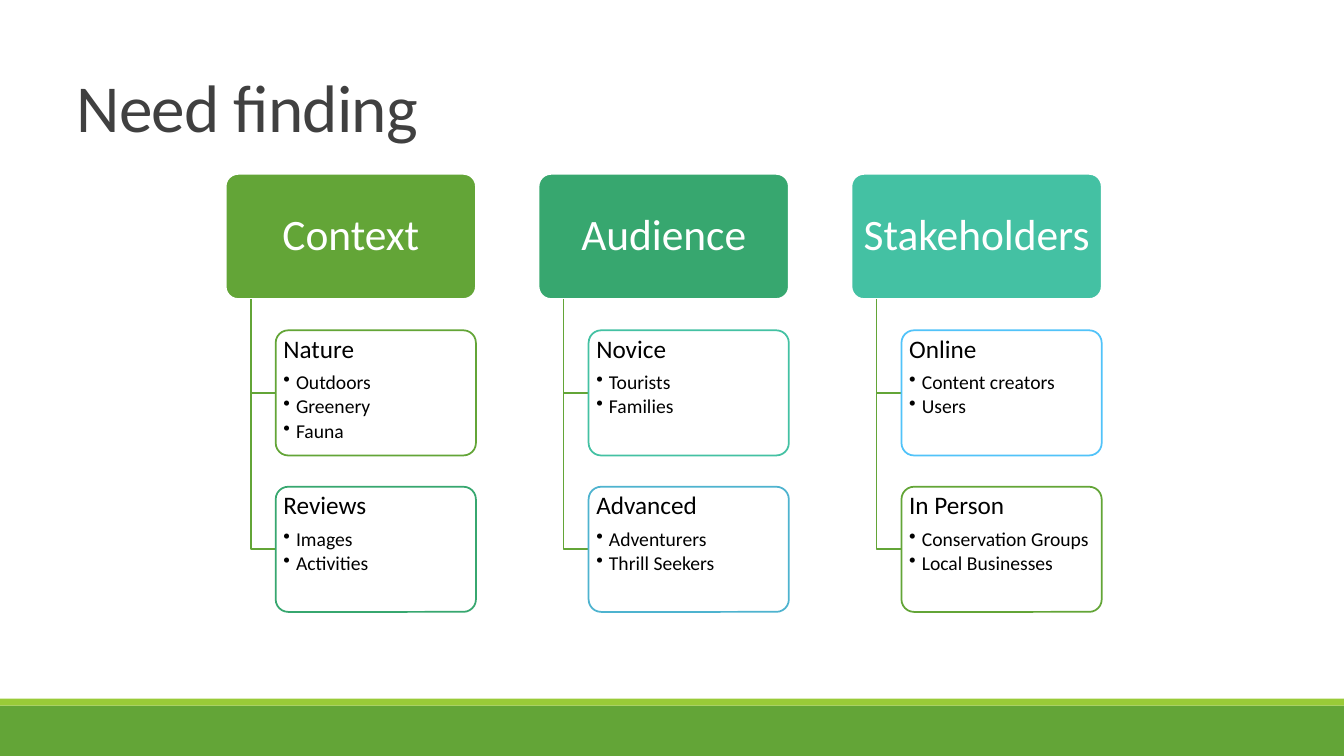
from lxml.etree import SubElement
from pptx import Presentation
from pptx.dml.color import RGBColor
from pptx.enum.shapes import MSO_SHAPE as Preset
from pptx.enum.text import MSO_ANCHOR as Anchor, PP_ALIGN as Align
from pptx.oxml.ns import qn
from pptx.util import Pt

GREEN = RGBColor(0x63, 0xA5, 0x37)
LIME = RGBColor(0x99, 0xCB, 0x38)
EMERALD = RGBColor(0x37, 0xA7, 0x6F)
TEAL = RGBColor(0x44, 0xC1, 0xA3)
STEEL = RGBColor(0x4E, 0xB3, 0xCF)
SKY = RGBColor(0x51, 0xC3, 0xF9)
WHITE = RGBColor(0xFF, 0xFF, 0xFF)
BLACK = RGBColor(0, 0, 0)
CHARCOAL = RGBColor(0x40, 0x40, 0x40)
FONT = "Calibri"
SLIDE_WIDTH, SLIDE_HEIGHT = 960, 540

BRANCHES = [
    ("Context", GREEN, [
        ("Nature", GREEN, ["Outdoors", "Greenery", "Fauna"]),
        ("Reviews", EMERALD, ["Images", "Activities"])]),
    ("Audience", EMERALD, [
        ("Novice", TEAL, ["Tourists", "Families"]),
        ("Advanced", STEEL, ["Adventurers", "Thrill Seekers"])]),
    ("Stakeholders", TEAL, [
        ("Online", SKY, ["Content creators", "Users"]),
        ("In Person", GREEN, ["Conservation Groups", "Local Businesses"])]),
]


def write(paragraph, wording, size, color, line_spacing=0.9, space_after=0):
    """Fill a paragraph and format its run."""
    paragraph.text = wording
    paragraph.line_spacing = line_spacing
    paragraph.space_after = Pt(space_after)
    font = paragraph.runs[0].font
    font.name, font.size, font.color.rgb = FONT, Pt(size), color


def add_bullet(paragraph):
    """Give a paragraph a hanging round bullet."""
    properties = paragraph._p.get_or_add_pPr()
    properties.set("marL", str(Pt(9)))
    properties.set("indent", str(Pt(-9)))
    SubElement(properties, qn("a:buChar"), char="•")


def set_margins(frame, side, end):
    """Wrap the text and set its side and end margins."""
    frame.word_wrap = True
    frame.margin_left = frame.margin_right = Pt(side)
    frame.margin_top = frame.margin_bottom = Pt(end)


def add_card(slide, left, top, width, height, fill, outline):
    """Draw a rounded card."""
    card = slide.shapes.add_shape(
        Preset.ROUNDED_RECTANGLE, Pt(left), Pt(top), Pt(width), Pt(height))
    card.adjustments[0] = 0.1
    card.shadow.inherit = False
    card.fill.solid()
    card.fill.fore_color.rgb = fill
    card.line.color.rgb = outline
    card.line.width = Pt(1.25)
    return card


def add_heading(slide, left, top, width, height, heading, color):
    """Draw the filled card at the head of a branch."""
    card = add_card(slide, left, top, width, height, color, WHITE)
    frame = card.text_frame
    set_margins(frame, 4.3, 2.9)
    frame.vertical_anchor = Anchor.MIDDLE
    write(frame.paragraphs[0], heading, 31, WHITE)
    frame.paragraphs[0].alignment = Align.CENTER


def add_leaf(slide, left, top, width, height, topic, color, examples):
    """Draw an outlined card with a topic and its bulleted examples."""
    card = add_card(slide, left, top, width, height, WHITE, color)
    tint = card.fill._xPr.find(qn("a:solidFill"))[0]
    SubElement(tint, qn("a:alpha"), val="90000")
    frame = card.text_frame
    set_margins(frame, 2.9, 2)
    frame.vertical_anchor = Anchor.TOP
    write(frame.paragraphs[0], topic, 18, BLACK, space_after=6.3)
    for example in examples:
        paragraph = frame.add_paragraph()
        write(paragraph, example, 14, BLACK, space_after=2.1)
        add_bullet(paragraph)
    for paragraph in frame.paragraphs:
        paragraph.alignment = Align.LEFT


def add_elbow(slide, left, top, width, height):
    """Draw the line that runs down and then right to a leaf."""
    builder = slide.shapes.build_freeform(Pt(left), Pt(top))
    builder.add_line_segments(
        [(Pt(left), Pt(top + height)), (Pt(left + width), Pt(top + height))],
        close=False)
    elbow = builder.convert_to_shape()
    elbow.shadow.inherit = False
    elbow.fill.background()
    elbow.line.color.rgb = GREEN
    elbow.line.width = Pt(1.25)


def add_branch(slide, left, top, width, heading, color, leaves):
    """Draw a heading with its leaves hanging below it."""
    height = width / 2
    pitch = height * 1.25
    trunk, indent = width * 0.1, width * 0.2
    add_heading(slide, left, top, width, height, heading, color)
    for row, (topic, outline, examples) in enumerate(leaves, start=1):
        drop = row * pitch
        add_elbow(slide, left + trunk, top + height,
                  indent - trunk, drop - height / 2)
        add_leaf(slide, left + indent, top + drop, width - indent, height,
                 topic, outline, examples)


def add_hierarchy(slide, left, top, width):
    """Spread the branches evenly, with gaps a quarter of a branch wide."""
    branch_width = width / (len(BRANCHES) * 1.25 - 0.25)
    for column, branch in enumerate(BRANCHES):
        add_branch(slide, left + column * branch_width * 1.25, top,
                   branch_width, *branch)


def add_title(slide, left, top, width, height):
    """Place the slide title."""
    title = slide.shapes.add_textbox(Pt(left), Pt(top), Pt(width), Pt(height))
    frame = title.text_frame
    frame.word_wrap = True
    frame.vertical_anchor = Anchor.BOTTOM
    write(frame.paragraphs[0], "Need finding", 48, CHARCOAL, line_spacing=0.85)
    frame.paragraphs[0].runs[0]._r.get_or_add_rPr().set("spc", "-50")


def add_footer(slide, left, top, width, height):
    """Draw the green band and its lime edge."""
    edge = 5
    for band_top, band_height, color in (
            (top + edge, height - edge, GREEN), (top, edge, LIME)):
        band = slide.shapes.add_shape(
            Preset.RECTANGLE, Pt(left), Pt(band_top), Pt(width), Pt(band_height))
        band.shadow.inherit = False
        band.fill.solid()
        band.fill.fore_color.rgb = color
        band.line.fill.background()


def main():
    """Build and save the slide."""
    deck = Presentation()
    deck.slide_width, deck.slide_height = Pt(SLIDE_WIDTH), Pt(SLIDE_HEIGHT)
    slide = deck.slides.add_slide(deck.slide_layouts[6])
    add_footer(slide, 0, 499, SLIDE_WIDTH, 41)
    add_hierarchy(slide, 161.2, 124.2, 625.8)
    add_title(slide, 47.5, 27.4, 296, 80.6)
    deck.save("out.pptx")


if __name__ == "__main__":
    main()
